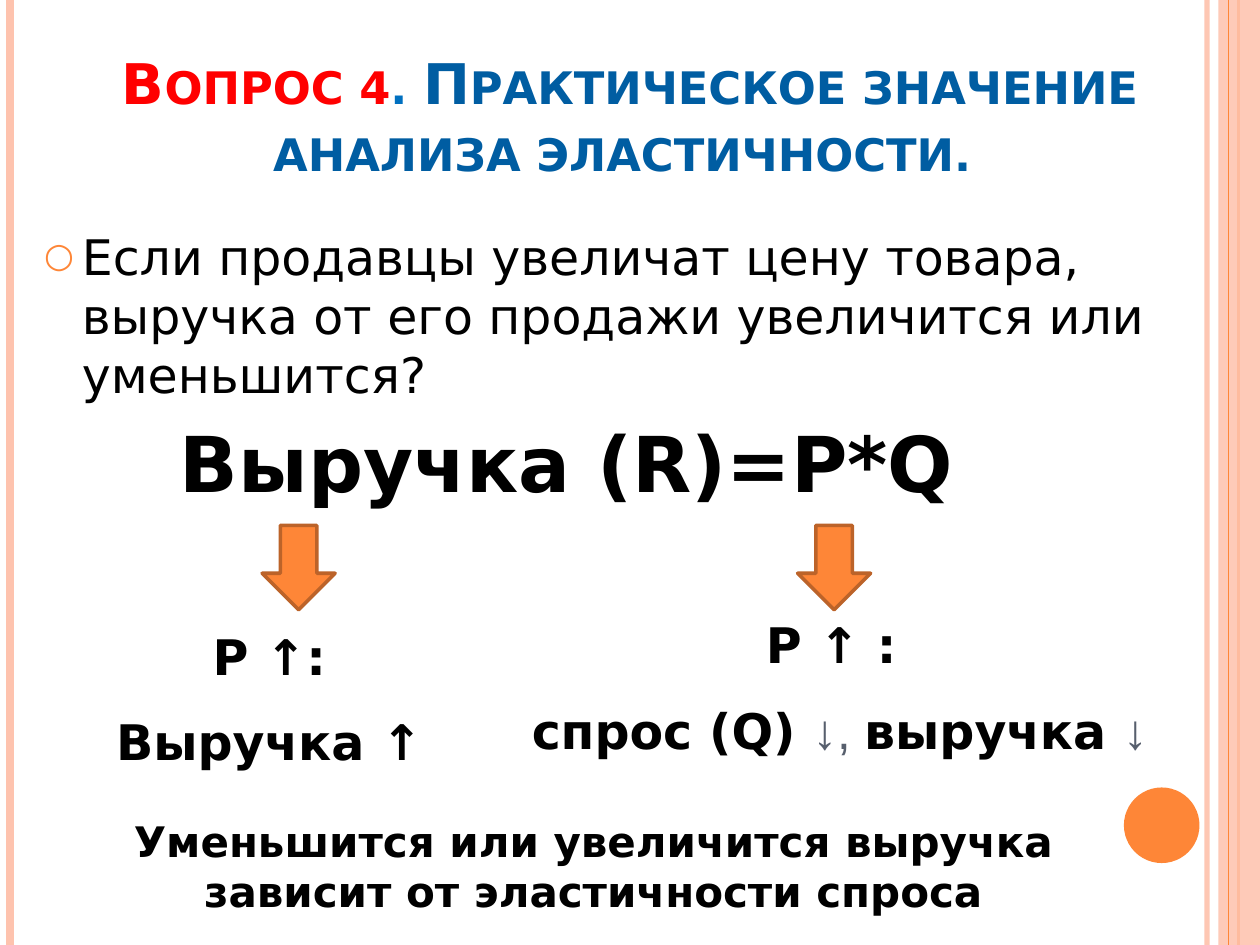
from lxml.etree import SubElement
from pptx import Presentation
from pptx.dml.color import RGBColor
from pptx.enum.shapes import MSO_CONNECTOR, MSO_SHAPE
from pptx.enum.text import MSO_ANCHOR, MSO_AUTO_SIZE, PP_ALIGN
from pptx.oxml.ns import qn
from pptx.util import Inches, Pt

ORANGE = RGBColor(0xFE, 0x86, 0x37)
DARK_ORANGE = RGBColor(0xBC, 0x63, 0x29)
PEACH = RGBColor(0xFE, 0xC3, 0xAE)
RED = RGBColor(0xFF, 0x00, 0x00)
LIGHT_BLUE = RGBColor(0x00, 0x70, 0xC0)
BLUE = RGBColor(0x00, 0x5D, 0xA2)
SLATE = RGBColor(0x57, 0x5F, 0x6D)
BLACK = RGBColor(0, 0, 0)
MAIN_FONT = "DejaVu Sans"
SIGN_FONT = "Arial"


def add_span(para, text, size, color=BLACK, bold=True, font=MAIN_FONT):
    span = para.add_run()
    span.text = text
    span.font.name = font
    span.font.size = Pt(size)
    span.font.bold = bold
    span.font.color.rgb = color
    return span


def set_opacity(color_format_parent, percent):
    color = color_format_parent.find(".//" + qn("a:srgbClr"))
    SubElement(color, qn("a:alpha"), val=str(percent * 1000))


def place(shape, left, top, width, height):
    shape.left, shape.top = Inches(left), Inches(top)
    shape.width, shape.height = Inches(width), Inches(height)


def add_solid(page, kind, left, top, width, height, fill):
    shape = page.shapes.add_shape(
        kind, Inches(left), Inches(top), Inches(width), Inches(height))
    shape.shadow.inherit = False
    shape.fill.solid()
    shape.fill.fore_color.rgb = fill
    shape.line.fill.background()
    return shape


def add_rule(page, x, height, color, width, opacity=100):
    """Draw a full-height vertical line."""
    rule = page.shapes.add_connector(
        MSO_CONNECTOR.STRAIGHT, Inches(x), 0, Inches(x), Inches(height))
    rule.line.color.rgb = color
    rule.line.width = Pt(width)
    properties = rule._element.spPr
    if opacity < 100:
        set_opacity(properties, opacity)
    SubElement(properties, qn("a:effectLst"))


def add_frame(page, width, height):
    add_rule(page, width - 0.42, height, PEACH, 3, 93)
    add_rule(page, 0.08, height, PEACH, 4.5)
    add_rule(page, width - 0.17, height, ORANGE, 1.5)
    band = add_solid(page, MSO_SHAPE.RECTANGLE,
                     width - 0.33, 0, 0.33, height, PEACH)
    set_opacity(band._element.spPr, 87)
    add_rule(page, width - 0.25, height, ORANGE, 0.75)
    add_solid(page, MSO_SHAPE.OVAL,
              width - 1.08, height - 1.25, 0.6, 0.6, ORANGE)


def fill_title(title, left, top, width, height):
    place(title, left, top, width, height)
    frame = title.text_frame
    frame.auto_size = MSO_AUTO_SIZE.NONE
    frame.vertical_anchor = MSO_ANCHOR.BOTTOM
    para = frame.paragraphs[0]
    para.alignment = PP_ALIGN.CENTER
    for text, color in [
        ("Вопрос 4", RED),
        (". ", LIGHT_BLUE),
        ("Практическое значение анализа эластичности. ", BLUE),
    ]:
        span = add_span(para, text, 32, color)
        span.font._element.set("cap", "small")


def fill_question(body, left, top, width, height):
    place(body, left, top, width, height)
    body.text_frame.auto_size = MSO_AUTO_SIZE.NONE
    para = body.text_frame.paragraphs[0]
    para.space_before = Pt(0)
    properties = para._p.get_or_add_pPr()
    properties.set("marL", str(Inches(0.3)))
    properties.set("indent", str(Inches(-0.3)))
    bullet_color = SubElement(properties, qn("a:buClr"))
    SubElement(bullet_color, qn("a:srgbClr"), val=str(ORANGE))
    SubElement(properties, qn("a:buSzPct"), val="70000")
    SubElement(properties, qn("a:buFont"), typeface=MAIN_FONT)
    SubElement(properties, qn("a:buChar"), char="○")
    add_span(para, "Если продавцы увеличат цену товара, выручка от его "
             "продажи увеличится или уменьшится?", 28, bold=False)


def add_text(page, left, top, width, height, lines, size,
             align=PP_ALIGN.CENTER, wrap=True):
    """Add a text box; each line is a list of (text, is_sign) pairs."""
    box = page.shapes.add_textbox(
        Inches(left), Inches(top), Inches(width), Inches(height))
    frame = box.text_frame
    frame.word_wrap = wrap
    frame.auto_size = MSO_AUTO_SIZE.SHAPE_TO_FIT_TEXT
    for index, line in enumerate(lines):
        para = frame.add_paragraph() if index else frame.paragraphs[0]
        para.alignment = align
        para.space_before = Pt(size * 0.55 if index else 0)
        for text, is_sign in line:
            if is_sign:
                add_span(para, text, size, SLATE, False, SIGN_FONT)
            else:
                add_span(para, text, size)


def add_revenue_scheme(page, left, top):
    """Formula with an arrow down to each of its two outcomes."""
    add_text(page, left + 0.66, top, 6.64, 0.84,
             [[("Выручка (R)=P*Q", False)]], 44, PP_ALIGN.LEFT, wrap=False)
    for offset in (1.41, 5.66):
        arrow = add_solid(page, MSO_SHAPE.DOWN_ARROW,
                          left + offset, top + 0.92, 0.58, 0.67, ORANGE)
        arrow.line.color.rgb = DARK_ORANGE
        arrow.line.width = Pt(2)
    add_text(page, left, top + 1.67, 3.07, 1.28,
             [[("P ↑: ", False)], [("Выручка ↑ ", False)]], 28)
    add_text(page, left + 3.33, top + 1.58, 5.33, 1.28,
             [[("P ↑ : ", False)],
              [("спрос (Q) ", False), ("↓, ", True),
               ("выручка ", False), ("↓", True)]], 28)


def build_elasticity_page(deck):
    page = deck.slides.add_slide(deck.slide_layouts[1])
    add_frame(page, 10, 7.5)
    fill_title(page.shapes.title, 0.5, 0.25, 9, 1.25)
    fill_question(page.placeholders[1], 0.25, 1.75, 9.17, 2.58)
    add_revenue_scheme(page, 0.67, 3.25)
    add_text(page, 0.25, 6.42, 8.92, 0.91,
             [[("Уменьшится или увеличится выручка зависит от "
                "эластичности спроса", False)]], 24)


def main():
    deck = Presentation()
    deck.slide_width, deck.slide_height = Inches(10), Inches(7.5)
    build_elasticity_page(deck)
    deck.save("out.pptx")


if __name__ == "__main__":
    main()
